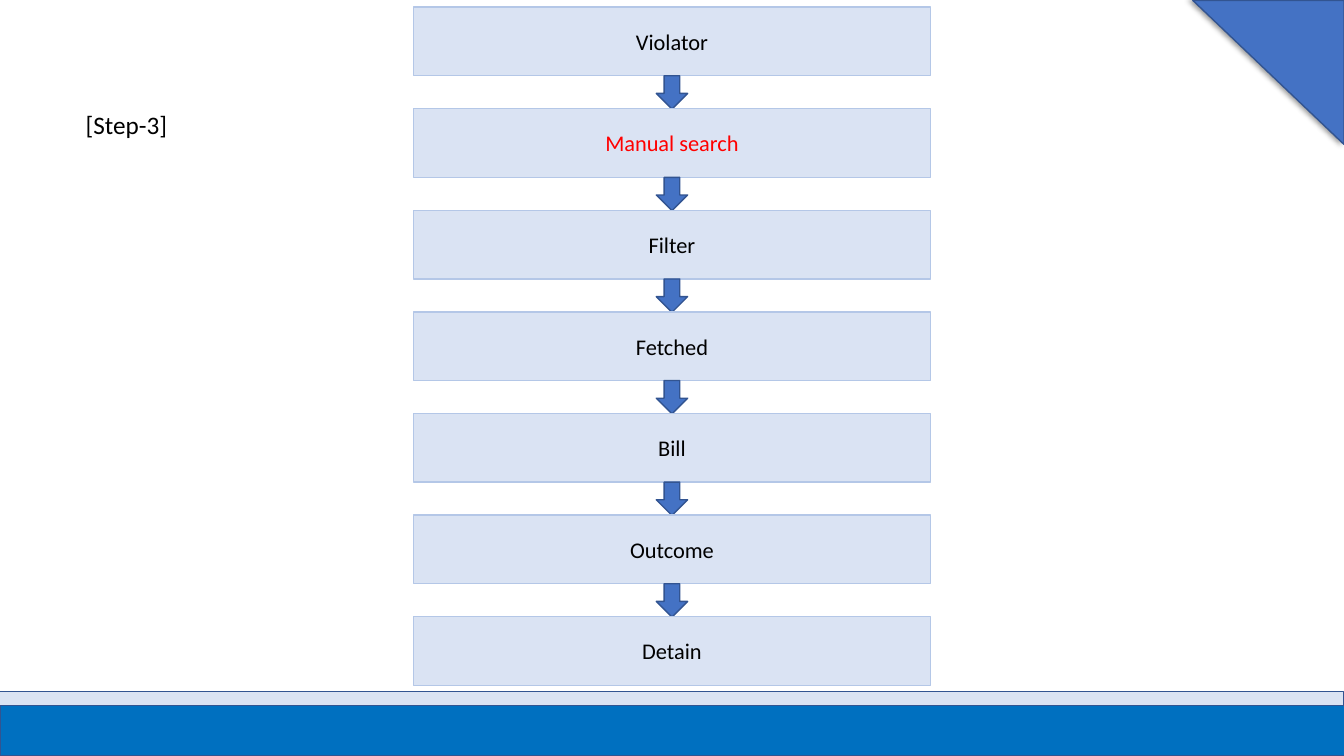
from lxml import etree
from pptx import Presentation
from pptx.dml.color import RGBColor
from pptx.enum.shapes import MSO_SHAPE
from pptx.enum.text import MSO_ANCHOR, PP_ALIGN
from pptx.oxml.ns import qn
from pptx.util import Cm, Pt

RECT, ARROW, TRIANGLE = MSO_SHAPE.RECTANGLE, MSO_SHAPE.DOWN_ARROW, MSO_SHAPE.RIGHT_TRIANGLE
MIDDLE, CENTER = MSO_ANCHOR.MIDDLE, PP_ALIGN.CENTER
BLUE, PALE, DEEP, EDGE = "4472C4", "DAE3F3", "0070C0", "325491"
STEPS = ["Violator", "Manual search", "Filter", "Fetched", "Bill", "Outcome", "Detain"]
HIGHLIGHT = "Manual search"
SLIDE_W, SLIDE_H = 33.87, 19.05
BOX_W, BOX_H, FIRST_TOP, PITCH = 13.03, 1.73, 0.18, 2.56
ARROW_W, ARROW_H = 0.79, 0.84

prs = Presentation()
prs.slide_width, prs.slide_height = Cm(SLIDE_W), Cm(SLIDE_H)
s = prs.slides.add_slide(prs.slide_layouts[6])


def add_shape(kind, left, top, width, height, fill, line=EDGE, weight=1):
    """Add a preset shape, measured in centimetres, with no shadow."""
    sp = s.shapes.add_shape(kind, Cm(left), Cm(top), Cm(width), Cm(height))
    sp.shadow.inherit = False
    sp.fill.solid()
    sp.fill.fore_color.rgb = RGBColor.from_string(fill)
    sp.line.color.rgb = RGBColor.from_string(line)
    sp.line.width = Pt(weight)
    return sp


def set_text(sp, text, size, color="000000"):
    tf = sp.text_frame
    tf.word_wrap = True
    p = tf.paragraphs[0]
    p.text = text
    font = p.runs[0].font
    font.name, font.size = "Calibri", Pt(size)
    font.color.rgb = RGBColor.from_string(color)
    return tf


# Footer bands
add_shape(RECT, 0, 17.42, SLIDE_W, 1.63, PALE, weight=0.75)
add_shape(RECT, 0.02, 17.78, SLIDE_W, 1.27, DEEP)

# Corner triangle, mirrored and turned, with a soft shadow to the left
corner = add_shape(TRIANGLE, 30.15, -0.08, 3.63, 3.81, BLUE)
corner.rotation = 270
sp_pr = corner.element.spPr
sp_pr.find(qn("a:xfrm")).set("flipH", "1")
shadow = etree.SubElement(
    sp_pr.find(qn("a:effectLst")), qn("a:outerShdw"), blurRad=str(Pt(4)),
    dist=str(Pt(3)), dir="10800000", algn="r", rotWithShape="0")
shade = etree.SubElement(shadow, qn("a:srgbClr"), val="000000")
etree.SubElement(shade, qn("a:alpha"), val="40000")

# Flow of steps, joined by arrows
for i, step in enumerate(STEPS):
    top = FIRST_TOP + i * PITCH
    box = add_shape(RECT, (SLIDE_W - BOX_W) / 2, top, BOX_W, BOX_H, PALE, "B4C7E7")
    tf = set_text(box, step, 16, "FF0000" if step == HIGHLIGHT else "000000")
    tf.vertical_anchor = MIDDLE
    tf.paragraphs[0].alignment = CENTER
    if i < len(STEPS) - 1:
        add_shape(ARROW, (SLIDE_W - ARROW_W) / 2, top + BOX_H, ARROW_W, ARROW_H, BLUE)

label = s.shapes.add_textbox(Cm(1.91), Cm(2.62), Cm(4.27), Cm(1.02))
set_text(label, "[Step-3]", 18)

prs.save("out.pptx")
